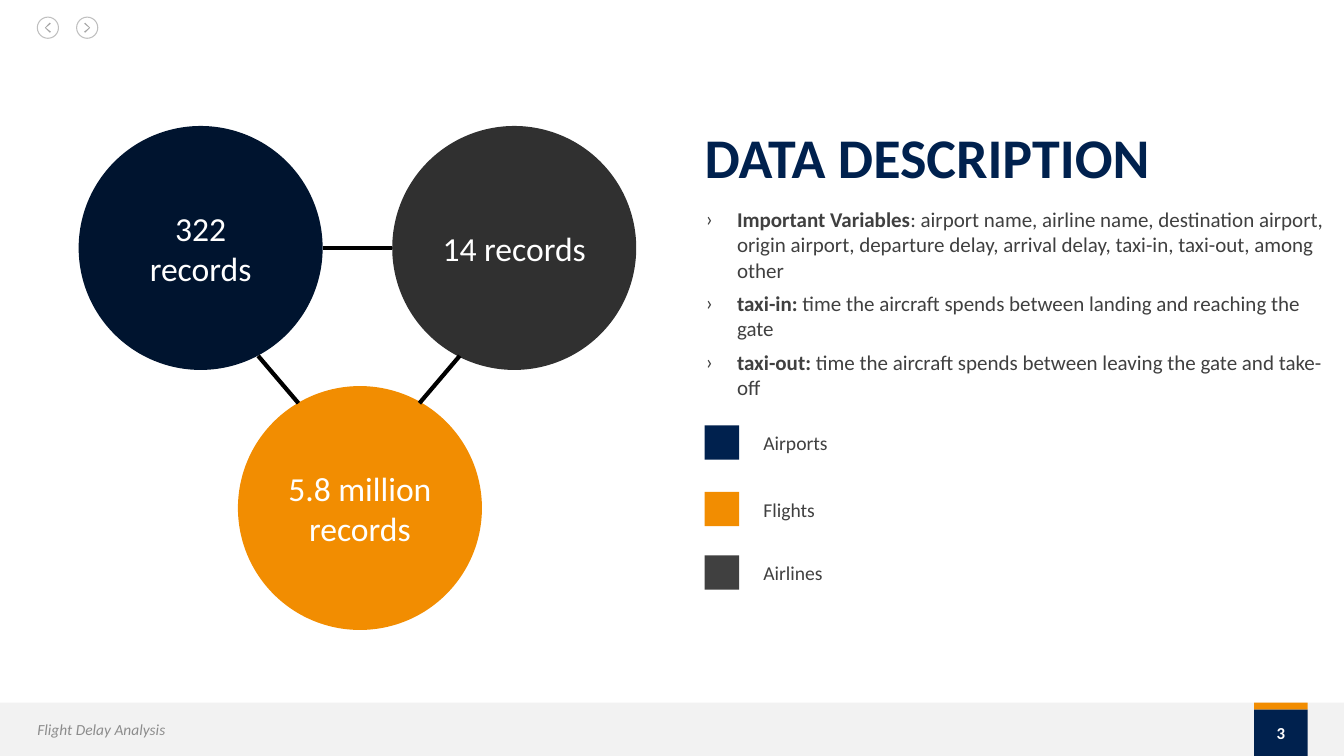
from dataclasses import dataclass
from typing import Any

import lxml.etree
import pptx
import pptx.dml.color
import pptx.enum.shapes
import pptx.enum.text
import pptx.oxml.ns
import pptx.util

Inches = pptx.util.Inches
Points = pptx.util.Pt
Shape = pptx.enum.shapes.MSO_SHAPE
Anchor = pptx.enum.text.MSO_ANCHOR
Align = pptx.enum.text.PP_ALIGN
qn = pptx.oxml.ns.qn

COLORS = {
    "white": "FFFFFF", "black": "000000", "band": "F2F2F2", "ring": "BFBFBF",
    "chevron": "A5A5A5", "navy": "00214E", "midnight": "00142F",
    "charcoal": "303030", "orange": "F28D01", "text": "404040", "footer": "8C8C8C",
}
CIRCLE_SIZE = 2.42
SWATCH_SIZE = 0.34
ARROW_SIZE = 0.21
PAGE_WIDTH, PAGE_HEIGHT = 13.33, 7.5
FOOTER_TOP = 6.97


@dataclass(frozen=True)
class Circle:
    left: float
    top: float
    color: str
    label: str


@dataclass(frozen=True)
class Link:
    start: tuple[float, float]
    end: tuple[float, float]


@dataclass(frozen=True)
class LegendEntry:
    top: float
    color: str
    label: str


@dataclass(frozen=True)
class Definition:
    term: str
    meaning: str


@dataclass(frozen=True)
class NavigationArrow:
    left: float
    direction: int


CIRCLES = [
    Circle(0.78, 1.25, "midnight", "322 records"),
    Circle(3.89, 1.25, "charcoal", "14 records"),
    Circle(2.36, 3.83, "orange", "5.8 million records"),
]
LINKS = [
    Link((2.56, 3.53), (2.96, 4)),
    Link((4.56, 3.53), (4.16, 4)),
    Link((3.2, 2.46), (3.89, 2.46)),
]
LEGEND = [
    LegendEntry(4.22, "navy", "Airports"),
    LegendEntry(4.88, "orange", "Flights"),
    LegendEntry(5.51, "text", "Airlines"),
]
DEFINITIONS = [
    Definition("Important Variables", ": airport name, airline name, destination airport, "
               "origin airport, departure delay, arrival delay, taxi-in, taxi-out, among other"),
    Definition("taxi-in:", " time the aircraft spends between landing and reaching the gate"),
    Definition("taxi-out:", " time the aircraft spends between leaving the gate and take-off"),
]
NAVIGATION = [NavigationArrow(0.37, -1), NavigationArrow(0.76, 1)]


def rgb(color: str) -> pptx.dml.color.RGBColor:
    return pptx.dml.color.RGBColor.from_string(COLORS[color])


def apply(target: Any, values: dict[str, Any]) -> None:
    for name, value in values.items():
        setattr(target, name, value)


def add_span(para: Any, text: str, size: float, color: str, **values: Any) -> None:
    span = para.add_run()
    span.text = text
    apply(span.font, {"name": "Calibri", "size": Points(size), **values})
    span.font.color.rgb = rgb(color)


def paint(shape: Any, fill: str, line: str | None = None) -> None:
    shape.shadow.inherit = False
    shape.fill.solid()
    shape.fill.fore_color.rgb = rgb(fill)
    if line:
        shape.line.color.rgb = rgb(line)
        shape.line.width = Points(0.75)
    else:
        shape.line.fill.background()


def add_shape(page: Any, kind: Any, left: float, top: float, width: float, height: float,
              fill: str, line: str | None = None) -> Any:
    shape = page.shapes.add_shape(kind, *map(Inches, (left, top, width, height)))
    paint(shape, fill, line)
    return shape


def add_label(shape: Any, text: str, size: float, **values: Any) -> None:
    apply(shape.text_frame, {"word_wrap": True, "vertical_anchor": Anchor.MIDDLE})
    para = shape.text_frame.paragraphs[0]
    para.alignment = Align.CENTER
    add_span(para, text, size, "white", **values)


def add_box(page: Any, left: float, top: float, width: float, height: float,
            anchor: Any = Anchor.TOP) -> Any:
    box = page.shapes.add_textbox(*map(Inches, (left, top, width, height)))
    apply(box.text_frame, {
        "margin_left": 0, "margin_top": 0, "margin_right": 0, "margin_bottom": 0,
        "word_wrap": True, "vertical_anchor": anchor,
    })
    return box.text_frame


def add_navigation(page: Any, arrow: NavigationArrow) -> None:
    top = 0.17
    add_shape(page, Shape.OVAL, arrow.left, top, ARROW_SIZE, ARROW_SIZE, "white", "ring")
    center_x, center_y = arrow.left + ARROW_SIZE / 2, top + ARROW_SIZE / 2
    outline = [(-0.03, -0.04), (-0.02, -0.05), (0.03, 0), (-0.02, 0.05), (-0.03, 0.04), (0.02, 0)]
    points = [(Inches(center_x + arrow.direction * x), Inches(center_y + y)) for x, y in outline]
    builder = page.shapes.build_freeform(*points[0])
    builder.add_line_segments(points[1:], close=True)
    paint(builder.convert_to_shape(), "chevron")


def add_link(page: Any, link: Link) -> None:
    line = page.shapes.add_connector(
        pptx.enum.shapes.MSO_CONNECTOR.STRAIGHT, *map(Inches, link.start + link.end))
    line.line.color.rgb = rgb("black")
    line.line.width = Points(3)
    lxml.etree.SubElement(line._element.spPr, qn("a:effectLst"))


def add_legend_entry(page: Any, entry: LegendEntry) -> None:
    add_shape(page, Shape.RECTANGLE, 6.99, entry.top, SWATCH_SIZE, SWATCH_SIZE, entry.color)
    frame = add_box(page, 7.57, entry.top - 0.06, 4.59, 0.47, Anchor.MIDDLE)
    add_span(frame.paragraphs[0], entry.label, 14, "text")


def add_bullet(para: Any) -> None:
    properties = para._p.get_or_add_pPr()
    properties.set("marL", str(Inches(0.31)))
    properties.set("indent", str(-Inches(0.31)))
    color = lxml.etree.SubElement(properties, qn("a:buClr"))
    lxml.etree.SubElement(color, qn("a:srgbClr"), val=COLORS["text"])
    lxml.etree.SubElement(properties, qn("a:buFont"), typeface="Calibri")
    lxml.etree.SubElement(properties, qn("a:buChar"), char="›")


def add_definitions(page: Any) -> None:
    frame = add_box(page, 7, 1.73, 6.25, 3.38)
    frame.margin_top = Inches(0.32)
    for index, definition in enumerate(DEFINITIONS):
        para = frame.add_paragraph() if index else frame.paragraphs[0]
        para.space_before = Points(6 if index else 0)
        add_bullet(para)
        add_span(para, definition.term, 15, "text", bold=True)
        add_span(para, definition.meaning, 15, "text")


def main() -> None:
    deck = pptx.Presentation()
    apply(deck, {"slide_width": Inches(PAGE_WIDTH), "slide_height": Inches(PAGE_HEIGHT)})
    page = deck.slides.add_slide(deck.slide_layouts[6])

    add_shape(page, Shape.RECTANGLE, 0, FOOTER_TOP, PAGE_WIDTH, PAGE_HEIGHT - FOOTER_TOP, "band")
    for arrow in NAVIGATION:
        add_navigation(page, arrow)
    add_shape(page, Shape.RECTANGLE, 12.44, FOOTER_TOP, 0.53, 0.07, "orange")
    for circle in CIRCLES:
        shape = add_shape(page, Shape.OVAL, circle.left, circle.top,
                          CIRCLE_SIZE, CIRCLE_SIZE, circle.color)
        add_label(shape, circle.label, 24)

    title = add_box(page, 6.99, 1.29, 5.67, 1.09).paragraphs[0]
    title.line_spacing = 0.9
    add_span(title, "DATA DESCRIPTION", 40, "navy", bold=True)
    for entry in LEGEND:
        add_legend_entry(page, entry)
    for link in LINKS:
        add_link(page, link)

    number = add_shape(page, Shape.RECTANGLE, 12.44, 7.04, 0.53, 0.46, "navy")
    add_label(number, "3", 12, bold=True)
    footer = add_box(page, 0.37, 7.14, 4.5, 0.19, Anchor.MIDDLE)
    add_span(footer.paragraphs[0], "Flight Delay Analysis", 11, "footer", italic=True)
    add_definitions(page)
    deck.save("out.pptx")


if __name__ == "__main__":
    main()
